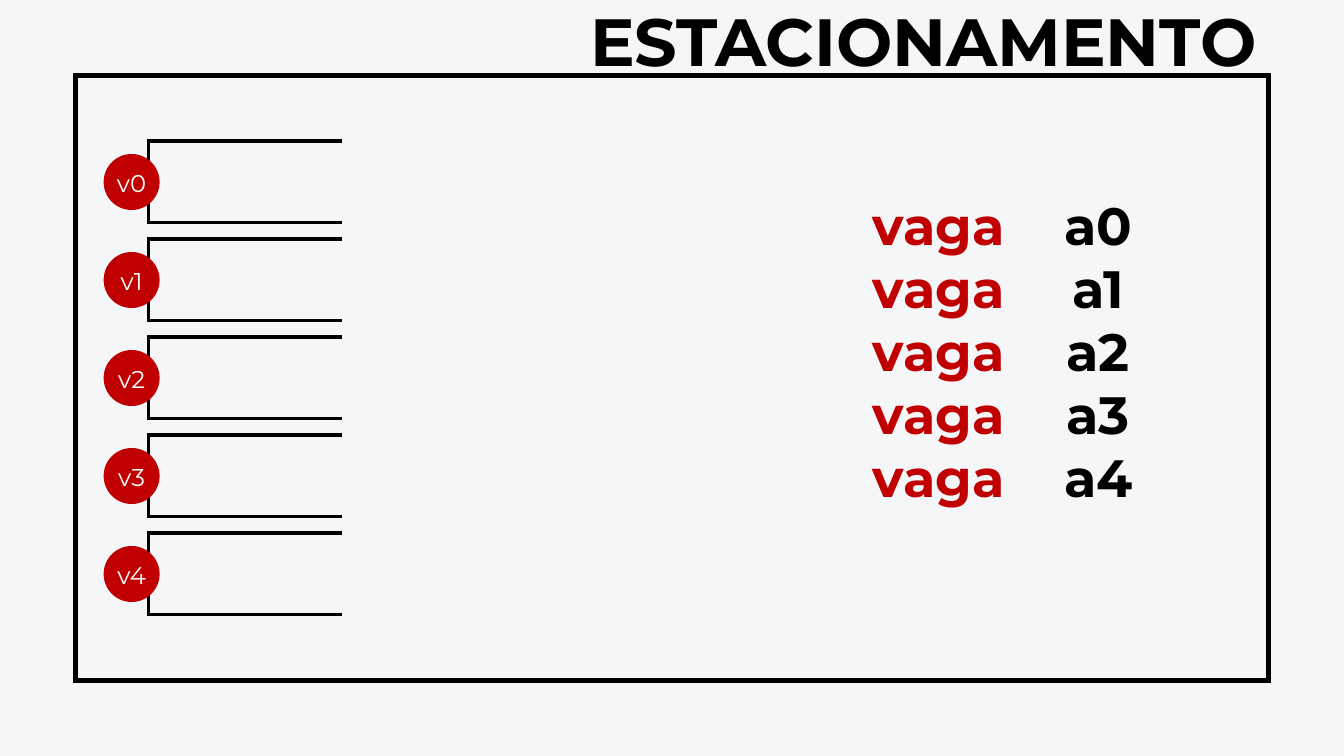
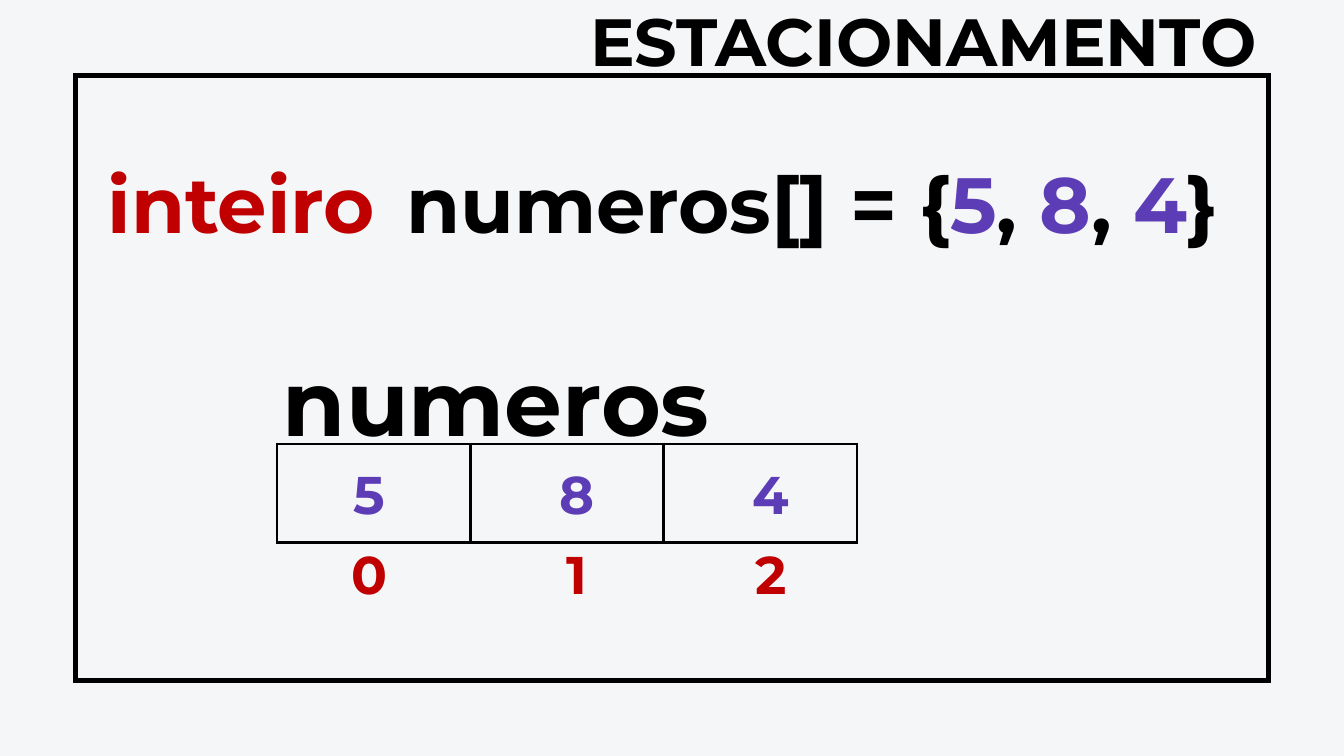
from collections import namedtuple
from dataclasses import dataclass

from lxml.etree import SubElement
from pptx import Presentation
from pptx.dml.color import RGBColor
from pptx.enum.shapes import MSO_CONNECTOR, MSO_SHAPE
from pptx.enum.text import MSO_ANCHOR, MSO_AUTO_SIZE, PP_ALIGN
from pptx.oxml.ns import qn
from pptx.util import Pt

PX = 9525
Box = namedtuple("Box", "left top width height")


@dataclass(frozen=True)
class Theme:
    font: str = "Montserrat"
    paper: str = "F5F6F8"
    ink: str = "000000"
    red: str = "C00000"
    purple: str = "5C3DB6"
    white: str = "FFFFFF"
    title: float = 71.5
    variable: float = 56.2
    cell: float = 56.8
    code: float = 83.9
    array: float = 98
    badge: float = 26
    frame_line: float = 6
    bay_line: float = 4
    table_line: float = 3


THEME = Theme()
PAGE = Box(0, 0, 1920, 1080)
FRAME = Box(108, 108, 1704, 864)


def px(*lengths):
    return [length * PX for length in lengths]


def rgb(color):
    return RGBColor.from_string(color)


def apply(target, formats):
    for name, value in formats.items():
        setattr(target, name, value)


def inside(outer, left, top, width, height):
    """Turn a place measured from the outer box into a place on the page."""
    return Box(outer.left + left, outer.top + top, width, height)


def fill_text(shape, spans, size, bold=True, leading=1.2, **frame_formats):
    """Write one centred line made of (text, colour) spans."""
    frame = shape.text_frame
    apply(frame, dict(word_wrap=True, margin_left=0, margin_right=0,
                      margin_top=0, margin_bottom=0) | frame_formats)
    para = frame.paragraphs[0]
    apply(para, dict(alignment=PP_ALIGN.CENTER,
                     line_spacing=Pt(round(size * leading, 1))))
    for text, color in spans:
        span = para.add_run()
        span.text = text
        apply(span.font, dict(name=THEME.font, size=Pt(size), bold=bold))
        span.font.color.rgb = rgb(color)
        if bold:
            span.font._element.set("spc", "-10")


def add_label(page, box, spans, size):
    label = page.shapes.add_textbox(*px(*box))
    fill_text(label, spans, size, auto_size=MSO_AUTO_SIZE.SHAPE_TO_FIT_TEXT)


def add_line(page, start, end):
    line = page.shapes.add_connector(MSO_CONNECTOR.STRAIGHT, *px(*start, *end))
    line.line.color.rgb = rgb(THEME.ink)
    line.line.width = Pt(THEME.bay_line)
    SubElement(line._element.spPr, qn("a:effectLst"))


def add_frame(page, box):
    frame = page.shapes.add_shape(MSO_SHAPE.RECTANGLE, *px(*box))
    frame.shadow.inherit = False
    frame.fill.background()
    frame.line.color.rgb = rgb(THEME.ink)
    frame.line.width = Pt(THEME.frame_line)
    SubElement(frame.line._get_or_add_ln(), qn("a:miter"), lim="800000")


def add_page(deck):
    """Add a slide with the shared background, frame and title."""
    page = deck.slides.add_slide(deck.slide_layouts[6])
    background = page.background.fill
    background.solid()
    background.fore_color.rgb = rgb(THEME.paper)
    add_frame(page, FRAME)
    add_label(page, inside(FRAME, 717, -108, 988, 114),
              [("ESTACIONAMENTO", THEME.ink)], THEME.title)
    return page


def add_bay(page, box):
    """Draw a parking bay that is open on its right side."""
    right, bottom = box.left + box.width, box.top + box.height
    for y in (box.top, bottom):
        add_line(page, (box.left, y), (right, y))
    add_line(page, (box.left, bottom + 2), (box.left, box.top - 2))


def add_badge(page, box, text):
    badge = page.shapes.add_shape(MSO_SHAPE.OVAL, *px(*box))
    badge.shadow.inherit = False
    badge.fill.solid()
    badge.fill.fore_color.rgb = rgb(THEME.red)
    badge.line.fill.background()
    fill_text(badge, [(text, THEME.white)], THEME.badge, bold=False,
              leading=1.4, vertical_anchor=MSO_ANCHOR.MIDDLE,
              margin_bottom=4 * PX, word_wrap=False)


def add_parking(page, box, count):
    pitch = 140
    for index in range(count):
        add_bay(page, inside(box, 64, index * pitch, 277, 117))
    for index in range(count):
        add_badge(page, inside(box, 0, 19 + index * pitch, 80, 80), f"v{index}")


def add_declarations(page, box, count):
    pitch = 90
    for index in range(count):
        columns = ((0, "vaga", THEME.red), (228, f"a{index}", THEME.ink))
        for left, text, color in columns:
            add_label(page, inside(box, left, index * pitch, 406, 89),
                      [(text, color)], THEME.variable)


def add_initialiser(page, box, values):
    add_label(page, inside(box, 0, 0, 473, 133),
              [("inteiro", THEME.red)], THEME.code)
    spans = [("numeros[] = {", THEME.ink)]
    for index, value in enumerate(values):
        if index:
            spans.append((", ", THEME.ink))
        spans.append((value, THEME.purple))
    spans.append(("}", THEME.ink))
    add_label(page, inside(box, 449, 0, 1207, 133), spans, THEME.code)


def style_cell(cell):
    """Give a cell a full border and no fill."""
    properties = cell._tc.get_or_add_tcPr()
    for side in ("lnL", "lnR", "lnT", "lnB"):
        border = SubElement(properties, qn(f"a:{side}"),
                            w=str(Pt(THEME.table_line)))
        solid = SubElement(border, qn("a:solidFill"))
        SubElement(solid, qn("a:srgbClr"), val=THEME.ink)
    cell.fill.background()


def add_array(page, box, values):
    """Draw the named cells with a value in each and its index below."""
    grid = inside(box, 0, 141, box.width, 141)
    table = page.shapes.add_table(1, len(values), *px(*grid)).table
    apply(table, dict(first_row=False, horz_banding=False))
    for cell in table.iter_cells():
        style_cell(cell)
    add_label(page, inside(box, 0, 0, 626, 156),
              [("numeros", THEME.ink)], THEME.array)
    for index, (left, value) in enumerate(zip((76, 372, 649), values)):
        rows = ((166, value, THEME.purple), (281, str(index), THEME.red))
        for top, text, color in rows:
            add_label(page, inside(box, left, top, 112, 91),
                      [(text, color)], THEME.cell)


def build_parking_page(deck):
    page = add_page(deck)
    add_parking(page, inside(FRAME, 40, 93, 341, 677), 5)
    add_declarations(page, inside(FRAME, 1030, 168, 634, 449), 5)


def build_array_page(deck):
    page = add_page(deck)
    values = ("5", "8", "4")
    add_initialiser(page, inside(FRAME, 0, 113, 1656, 133), values)
    add_array(page, inside(FRAME, 288, 385, 828, 372), values)


def main():
    deck = Presentation()
    width, height = px(PAGE.width, PAGE.height)
    apply(deck, dict(slide_width=width, slide_height=height))
    build_parking_page(deck)
    build_array_page(deck)
    deck.save("out.pptx")


if __name__ == "__main__":
    main()
